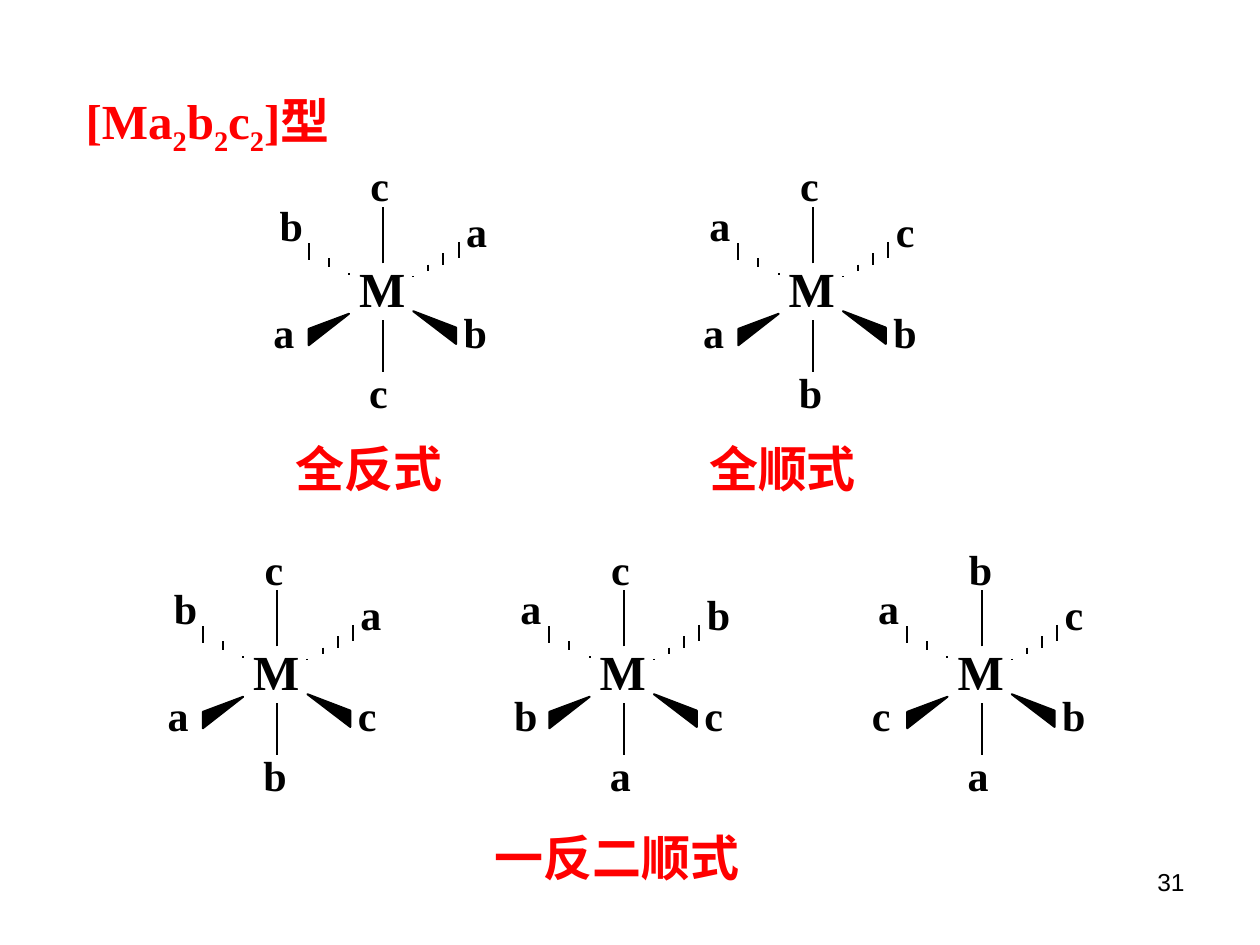
from lxml import etree
from pptx import Presentation
from pptx.dml.color import RGBColor
from pptx.enum.shapes import MSO_CONNECTOR
from pptx.enum.text import MSO_ANCHOR, MSO_AUTO_SIZE, PP_ALIGN
from pptx.oxml.ns import qn
from pptx.util import Inches, Pt

LEFT, RIGHT = PP_ALIGN.LEFT, PP_ALIGN.RIGHT
TOP = MSO_ANCHOR.TOP
NO_FIT = MSO_AUTO_SIZE.NONE
STRAIGHT = MSO_CONNECTOR.STRAIGHT
SERIF, SANS = "Times New Roman", "Arial"
BLACK, RED = "000000", "FF0000"
BOND_WIDTH = Pt(1.13)
TITLE_LAYOUT = 5

# Ligand corners, relative to the complex: left, top
CORNERS = {
    "top": (0.77, 0), "upper_left": (0.05, 0.31), "upper_right": (1.53, 0.36),
    "lower_left": (0, 1.16), "lower_right": (1.51, 1.16), "bottom": (0.76, 1.64),
}
WEDGES = [
    [(0.6, 1.22), (0.28, 1.34), (0.28, 1.47)],
    [(1.11, 1.2), (1.45, 1.46), (1.45, 1.33)],
]
# Left and top of each complex, and its ligands in the order of CORNERS
COMPLEXES = [
    (2.17, 1.27, "cbaabc"), (5.58, 1.27, "cacabb"),
    (1.33, 4.31, "cbaacb"), (4.08, 4.31, "cabbca"), (6.92, 4.31, "baccba"),
]


def color(hex_string):
    return RGBColor.from_string(hex_string)


def add_run(p, text, size=28, font=SERIF, hex_color=RED, bold=True, subscript=False):
    r = p.add_run()
    r.text = text
    r.font.size, r.font.name, r.font.bold = Pt(size), font, bold
    r.font.color.rgb = color(hex_color)
    if subscript:
        r._r.get_or_add_rPr().set("baseline", "-25000")


def add_text(shapes, text, left, top, width, height, align=LEFT, inset=True, **fmt):
    sp = shapes.add_textbox(Inches(left), Inches(top), Inches(width), Inches(height))
    tf = sp.text_frame
    tf.word_wrap = inset
    if not inset:
        tf.margin_left = tf.margin_right = tf.margin_top = tf.margin_bottom = 0
    p = tf.paragraphs[0]
    p.alignment = align
    add_run(p, text, **fmt)


def add_bond(shapes, x1, y1, x2, y2):
    line = shapes.add_connector(STRAIGHT, Inches(x1), Inches(y1), Inches(x2), Inches(y2))
    line.line.color.rgb = color(BLACK)
    line.line.width = BOND_WIDTH
    etree.SubElement(line._element.spPr, qn("a:effectLst"))


def add_wedge(shapes, points):
    start, *rest = [(Inches(x), Inches(y)) for x, y in points]
    builder = shapes.build_freeform(*start)
    builder.add_line_segments(rest, close=True)
    sp = builder.convert_to_shape()
    sp.shadow.inherit = False
    sp.fill.solid()
    sp.fill.fore_color.rgb = color(BLACK)
    sp.line.color.rgb = color(BLACK)
    sp.line.width = BOND_WIDTH


def add_hashed_bond(shapes, x, top, bottom, count, dx, rise_top, rise_bottom):
    """Upright dashes that grow longer away from the metal."""
    for i in range(count):
        add_bond(shapes, x + dx * i, top - rise_top * i,
                 x + dx * i, bottom - rise_bottom * i)


def add_complex(slide, left, top, ligands):
    """Octahedral complex; ligands follow the order of CORNERS."""
    shapes = slide.shapes.add_group_shape().shapes
    add_text(shapes, "M", left + 0.68, top + 0.78, 0.35, 0.47,
             inset=False, hex_color=BLACK)
    for ligand, (x, y) in zip(ligands, CORNERS.values()):
        add_text(shapes, ligand, left + x, top + y, 0.15 if ligand in "ac" else 0.17, 0.4,
                 inset=False, size=24, hex_color=BLACK)
    for points in WEDGES:
        add_wedge(shapes, [(left + x, top + y) for x, y in points])
    add_hashed_bond(shapes, left + 1.11, top + 0.92, top + 0.93, 4, 0.12, 0.09, 0.05)
    add_hashed_bond(shapes, left + 0.6, top + 0.9, top + 0.91, 3, -0.16, 0.12, 0.06)
    for y1, y2 in ((0.82, 0.37), (1.27, 1.68)):
        add_bond(shapes, left + 0.87, top + y1, left + 0.87, top + y2)


def add_title(slide, left, top, width, height):
    title = slide.shapes.title
    title.left, title.top = Inches(left), Inches(top)
    title.width, title.height = Inches(width), Inches(height)
    tf = title.text_frame
    tf.auto_size, tf.vertical_anchor = NO_FIT, TOP
    p = tf.paragraphs[0]
    p.alignment = LEFT
    for text in ("[Ma", "2", "b", "2", "c", "2", "]型"):
        add_run(p, text, subscript=text == "2")


def main():
    prs = Presentation()
    prs.slide_width, prs.slide_height = Inches(10), Inches(7.5)
    slide = prs.slides.add_slide(prs.slide_layouts[TITLE_LAYOUT])
    add_title(slide, 0.58, 0.67, 2.75, 0.57)
    for left, top, ligands in COMPLEXES:
        add_complex(slide, left, top, ligands)
    for text, left, top in (("全反式", 2.25, 3.43), ("全顺式", 5.53, 3.43),
                            ("一反二顺式", 3.83, 6.52)):
        add_text(slide.shapes, text, left, top, 2.75, 0.57)
    add_text(slide.shapes, "31", 7.17, 6.83, 2.33, 0.52, align=RIGHT,
             size=14, font=SANS, hex_color=BLACK, bold=False)
    prs.save("out.pptx")


if __name__ == "__main__":
    main()
